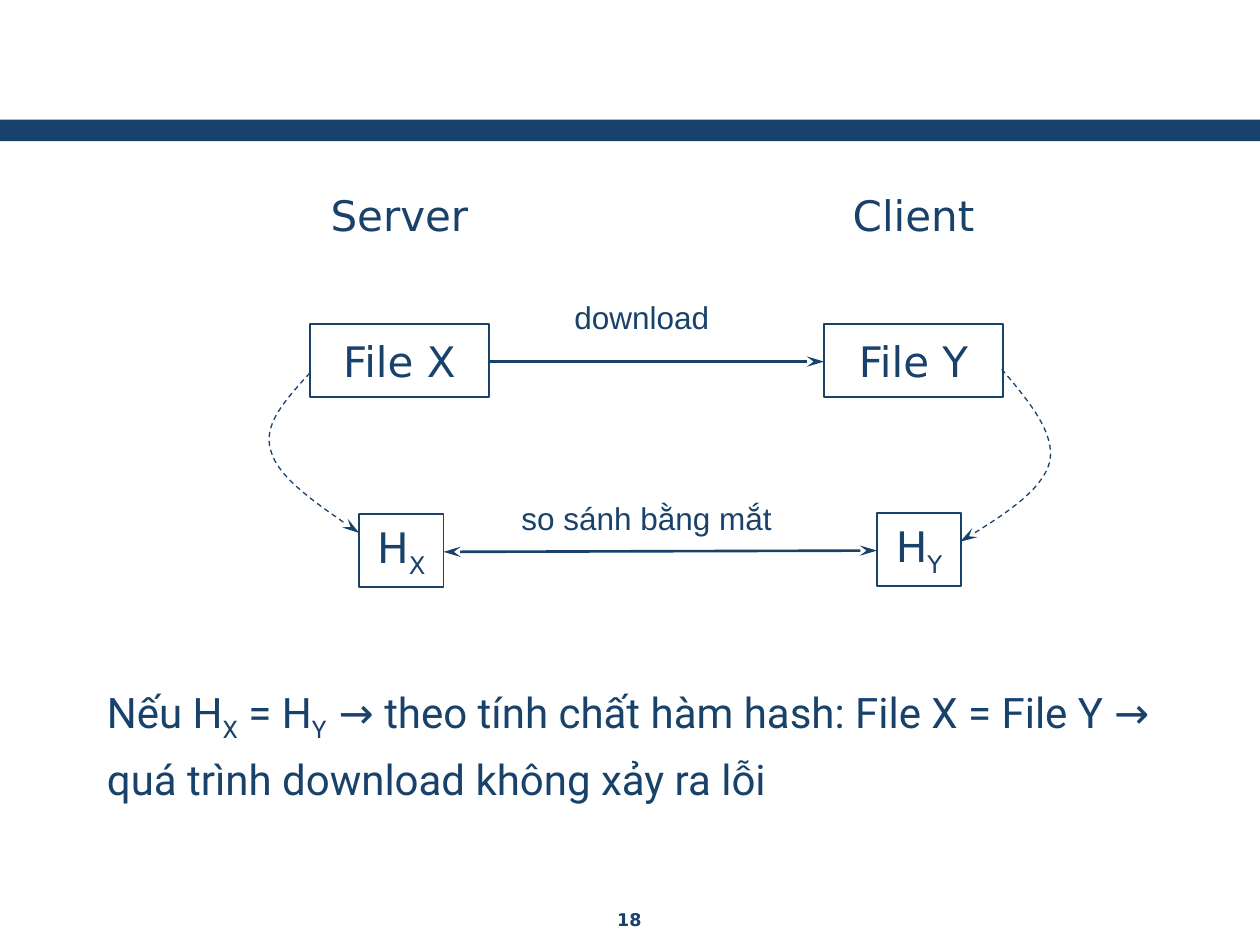
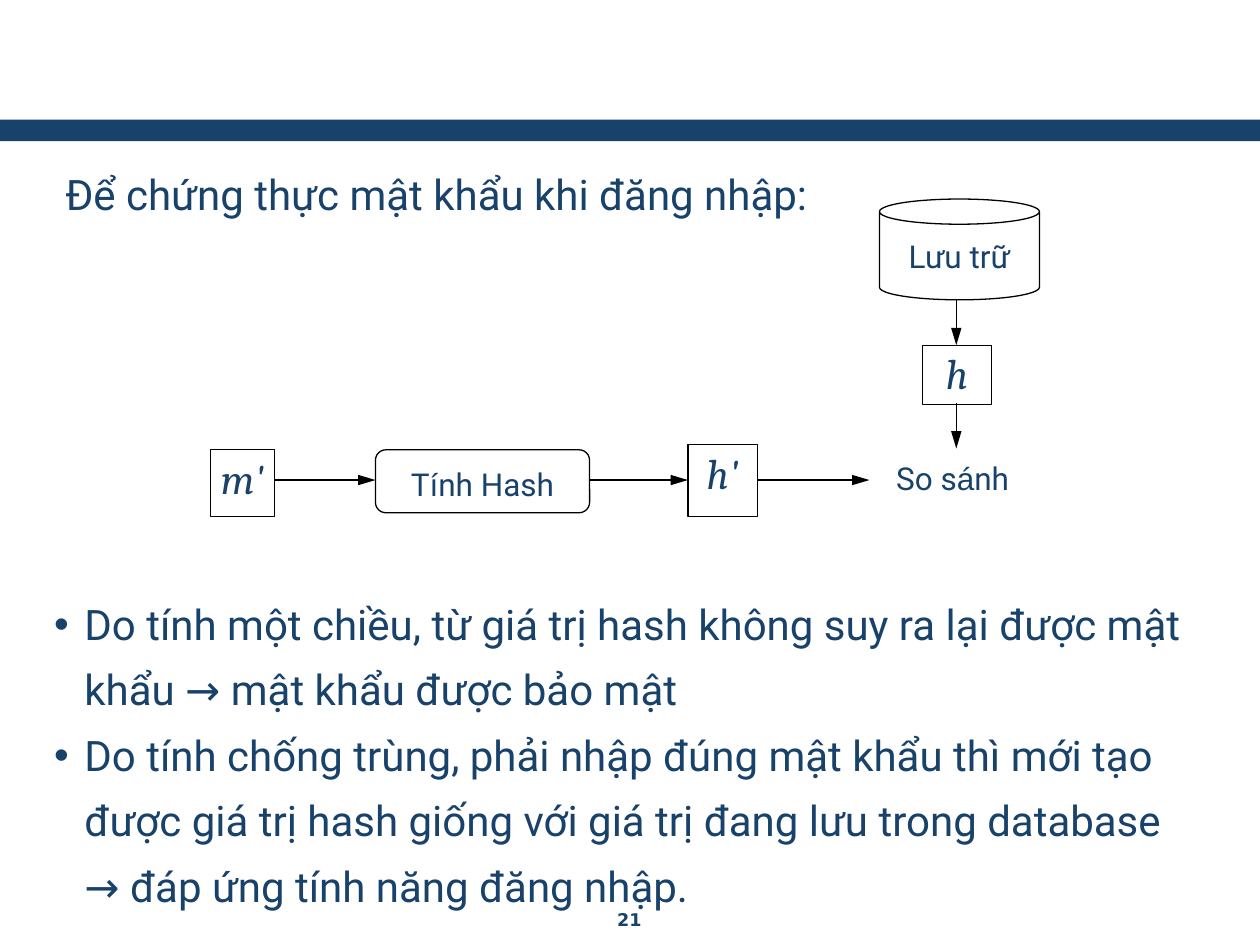
from dataclasses import dataclass
from typing import NamedTuple, Optional

import pptx
import pptx.util
from pptx.dml.color import RGBColor
from pptx.enum.dml import MSO_LINE
from pptx.enum.shapes import MSO_CONNECTOR, MSO_SHAPE
from pptx.enum.text import MSO_ANCHOR, MSO_AUTO_SIZE, PP_ALIGN
from pptx.oxml.ns import qn
from pptx.util import Inches
import lxml.etree

COLORS = {"navy": "19426B", "white": "FFFFFF", "black": "000000"}
NORMAL_INSETS = (0.1, 0.05, 0.1, 0.05)
TIGHT_INSETS = (0.02, 0.02, 0.02, 0.02)
LOWERED_INSETS = (0.02, 0.1, 0.02, 0.02)
CURVE_STEPS = 16


class Piece(NamedTuple):
    text: str
    font: Optional[str] = None
    subscript: bool = False


@dataclass
class TextStyle:
    font: str
    size: float
    bold: bool = False
    italic: bool = False
    align: Optional[PP_ALIGN] = PP_ALIGN.CENTER
    anchor: MSO_ANCHOR = MSO_ANCHOR.MIDDLE
    line_spacing: float = 1.0
    insets: tuple = NORMAL_INSETS


@dataclass
class Box:
    at: tuple
    pieces: list
    style: TextStyle
    preset: Optional[MSO_SHAPE] = MSO_SHAPE.RECTANGLE  # None means a text box
    fill: Optional[str] = None
    line: Optional[str] = None
    line_width: float = 0.75
    adjustment: Optional[float] = None


class Arrow(NamedTuple):
    start: tuple
    end: tuple
    color: str
    width: float
    kind: str
    both_ends: bool = False


class Curve(NamedTuple):
    """Cubic segments: a start point, then three points for each segment."""
    points: list


TOP = MSO_ANCHOR.TOP
PAGE_NUMBER = TextStyle("DejaVu Sans", 10, bold=True)
NODE = TextStyle("DejaVu Sans", 24)
ARROW_LABEL = TextStyle("Arial", 18, align=PP_ALIGN.LEFT, anchor=TOP)
CONCLUSION = TextStyle("Roboto", 24, align=PP_ALIGN.LEFT, line_spacing=1.2)
BODY = TextStyle("Roboto", 24, align=PP_ALIGN.LEFT, anchor=TOP, line_spacing=1.3)
SYMBOL = TextStyle("Cambria", 24, italic=True, anchor=TOP, insets=TIGHT_INSETS)
STEP = TextStyle("Roboto", 18, anchor=TOP, insets=LOWERED_INSETS)
RESULT = TextStyle("Roboto", 18, anchor=TOP, insets=TIGHT_INSETS)


def rgb(name: str) -> RGBColor:
    return RGBColor.from_string(COLORS[name])


def set_attributes(target, values: dict) -> None:
    for name, value in values.items():
        setattr(target, name, value)


# Text
def format_frame(frame, style: TextStyle) -> None:
    left, top, right, bottom = (Inches(inset) for inset in style.insets)
    set_attributes(frame, {
        "word_wrap": True, "auto_size": MSO_AUTO_SIZE.NONE,
        "vertical_anchor": style.anchor, "margin_left": left,
        "margin_top": top, "margin_right": right, "margin_bottom": bottom,
    })


def write_paragraph(paragraph, pieces: list, style: TextStyle) -> None:
    set_attributes(paragraph, {
        "alignment": style.align, "line_spacing": style.line_spacing,
        "space_before": pptx.util.Pt(0), "space_after": pptx.util.Pt(0),
    })
    for piece in pieces:
        run = paragraph.add_run()
        run.text = piece.text
        set_attributes(run.font, {
            "name": piece.font or style.font, "size": pptx.util.Pt(style.size),
            "bold": style.bold, "italic": style.italic,
        })
        run.font.color.rgb = rgb("navy")
        if piece.subscript:
            run._r.get_or_add_rPr().set("baseline", "-25000")


def add_bullet(paragraph, indent: float) -> None:
    properties = paragraph._p.get_or_add_pPr()
    properties.set("marL", str(Inches(indent)))
    properties.set("indent", str(-Inches(indent)))
    bullet = lxml.etree.SubElement(properties, qn("a:buChar"))
    bullet.set("char", "•")


# Shapes and lines
def draw_box(slide, box: Box):
    place = [Inches(length) for length in box.at]
    if box.preset is None:
        shape = slide.shapes.add_textbox(*place)
    else:
        shape = slide.shapes.add_shape(box.preset, *place)
        shape.shadow.inherit = False
        if box.adjustment is not None:
            shape.adjustments[0] = box.adjustment
        if box.fill:
            shape.fill.solid()
            shape.fill.fore_color.rgb = rgb(box.fill)
        else:
            shape.fill.background()
        if box.line:
            shape.line.color.rgb = rgb(box.line)
            shape.line.width = pptx.util.Pt(box.line_width)
        else:
            shape.line.fill.background()
    format_frame(shape.text_frame, box.style)
    write_paragraph(shape.text_frame.paragraphs[0], box.pieces, box.style)
    return shape


def add_arrowheads(line, kind: str, both_ends: bool = False) -> None:
    for tag in ("a:headEnd", "a:tailEnd") if both_ends else ("a:tailEnd",):
        arrowhead = lxml.etree.SubElement(line._get_or_add_ln(), qn(tag))
        for name, value in {"type": kind, "w": "med", "len": "lg"}.items():
            arrowhead.set(name, value)


def draw_arrow(slide, arrow: Arrow) -> None:
    ends = [Inches(length) for length in (*arrow.start, *arrow.end)]
    connector = slide.shapes.add_connector(MSO_CONNECTOR.STRAIGHT, *ends)
    connector.line.color.rgb = rgb(arrow.color)
    connector.line.width = pptx.util.Pt(arrow.width)
    add_arrowheads(connector.line, arrow.kind, arrow.both_ends)
    lxml.etree.SubElement(connector._element.spPr, qn("a:effectLst"))


def curve_point(corners: list, t: float) -> tuple:
    weights = ((1 - t) ** 3, 3 * t * (1 - t) ** 2, 3 * t ** 2 * (1 - t), t ** 3)
    return tuple(
        Inches(sum(weight * corner[axis] for weight, corner in zip(weights, corners)))
        for axis in (0, 1)
    )


def draw_curve(slide, curve: Curve) -> None:
    start = [Inches(length) for length in curve.points[0]]
    builder = slide.shapes.build_freeform(*start)
    vertices = [
        curve_point(curve.points[first:first + 4], step / CURVE_STEPS)
        for first in range(0, len(curve.points) - 1, 3)
        for step in range(1, CURVE_STEPS + 1)
    ]
    builder.add_line_segments(vertices, close=False)
    shape = builder.convert_to_shape()
    shape.shadow.inherit = False
    shape.fill.background()
    shape.line.color.rgb = rgb("navy")
    shape.line.width = pptx.util.Pt(0.75)
    shape.line.dash_style = MSO_LINE.DASH
    add_arrowheads(shape.line, "stealth")


def draw_all(slide, boxes: list, arrows: list, curves: list) -> None:
    for draw, items in ((draw_box, boxes), (draw_arrow, arrows), (draw_curve, curves)):
        for item in items:
            draw(slide, item)


# Shared parts
def add_master_band(presentation, slide) -> None:
    band = draw_box(slide, Box((0, 0.95, 10, 0.17), [], NODE, fill="navy"))
    presentation.slide_master.shapes.element.append(band._element)


def add_page_number(slide, number: str) -> None:
    draw_box(slide, Box((3.83, 7.17, 2.33, 0.26), [Piece(number)], PAGE_NUMBER, None))


# Slide 1: comparing the hashes of a downloaded file
def build_download_slide(presentation) -> None:
    slide = presentation.slides.add_slide(presentation.slide_layouts[6])
    add_master_band(presentation, slide)
    add_page_number(slide, "18")
    boxes = []
    sides = (("Server", "X", 2.46, (2.85, 4.08)), ("Client", "Y", 6.54, (6.96, 4.07)))
    for host, letter, left, hash_corner in sides:
        boxes += [
            Box((left, 1.41, 1.42, 0.58), [Piece(host)], NODE, fill="white"),
            Box((left, 2.57, 1.42, 0.58), [Piece(f"File {letter}")], NODE,
                fill="white", line="navy", line_width=1),
            Box((*hash_corner, 0.67, 0.58), [Piece("H"), Piece(letter, subscript=True)],
                NODE, fill="white", line="navy", line_width=1),
        ]
    conclusion = [
        Piece("Nếu H"), Piece("X", subscript=True),
        Piece(" = H"), Piece("Y  ", subscript=True),
        Piece("→ theo tính chất hàm hash: File X = File Y → "
              "quá trình download không xảy ra lỗi"),
    ]
    boxes += [
        Box((4.46, 2.32, 1.57, 0.4), [Piece("download")], ARROW_LABEL, None),
        Box((4.04, 3.91, 2.42, 0.4), [Piece("so sánh bằng mắt")], ARROW_LABEL, None),
        Box((0.75, 5.33, 8.58, 1.08), conclusion, CONCLUSION, fill="white"),
    ]
    arrows = [
        Arrow((3.88, 2.87), (6.54, 2.87), "navy", 1.5, "stealth"),
        Arrow((3.52, 4.38), (6.96, 4.37), "navy", 1.5, "stealth", both_ends=True),
    ]
    curves = [
        Curve([(2.46, 2.96), (2.27, 3.17), (2.08, 3.37), (2.15, 3.58),
               (2.21, 3.8), (2.53, 4.01), (2.85, 4.23)]),
        Curve([(7.95, 2.93), (8.17, 3.19), (8.38, 3.44), (8.33, 3.67),
               (8.27, 3.9), (7.95, 4.1), (7.62, 4.3)]),
    ]
    draw_all(slide, boxes, arrows, curves)


# Slide 2: checking a password at login
def build_login_slide(presentation) -> None:
    slide = presentation.slides.add_slide(presentation.slide_layouts[1])
    title = slide.shapes.title.element
    title.getparent().remove(title)
    add_page_number(slide, "21")
    boxes = [
        Box((0.42, 1.17, 9.17, 0.67), [Piece("Để chứng thực mật khẩu khi đăng nhập:")],
            BODY, None),
        Box((6.87, 3.62, 1.38, 0.48),
            [Piece("So s"), Piece("á", "Arial"), Piece("nh")], RESULT, None),
        Box((2.98, 3.57, 1.7, 0.5),
            [Piece("T"), Piece("í", "Arial"), Piece("nh Hash")], STEP,
            MSO_SHAPE.ROUNDED_RECTANGLE, line="black", adjustment=0.167),
        Box((6.98, 1.58, 1.27, 0.8), [Piece("Lưu trữ")], STEP,
            MSO_SHAPE.CAN, line="black", adjustment=0.25),
    ]
    symbols = (
        ("m'", (1.67, 3.57, 0.51, 0.53)),
        ("h'", (5.46, 3.53, 0.55, 0.57)),
        ("h", (7.32, 2.74, 0.55, 0.47)),
    )
    boxes += [Box(at, [Piece(text)], SYMBOL, line="black") for text, at in symbols]
    flow_y, storage_x = 3.81, 7.59
    ends = [((start, flow_y), (end, flow_y))
            for start, end in ((2.18, 2.98), (4.68, 5.46), (6.01, 6.9))]
    ends += [((storage_x, start), (storage_x, end))
             for start, end in ((2.38, 2.74), (3.2, 3.56))]
    arrows = [Arrow(start, end, "black", 0.75, "triangle") for start, end in ends]
    draw_all(slide, boxes, arrows, [])

    body = slide.placeholders[1]
    set_attributes(body, {"left": Inches(0.33), "top": Inches(4.58),
                          "width": Inches(9.17), "height": Inches(2.58)})
    format_frame(body.text_frame, BODY)
    reasons = (
        "Do tính một chiều, từ giá trị hash không suy ra lại được mật khẩu "
        "→ mật khẩu được bảo mật",
        "Do tính chống trùng, phải nhập đúng mật khẩu thì mới tạo được giá trị hash "
        "giống với giá trị đang lưu trong database → đáp ứng tính năng đăng nhập.",
    )
    for index, reason in enumerate(reasons):
        frame = body.text_frame
        paragraph = frame.add_paragraph() if index else frame.paragraphs[0]
        add_bullet(paragraph, 0.24)
        write_paragraph(paragraph, [Piece(reason)], BODY)


def main() -> None:
    presentation = pptx.Presentation()
    presentation.slide_width = Inches(10)
    presentation.slide_height = Inches(7.5)
    build_download_slide(presentation)
    build_login_slide(presentation)
    presentation.save("out.pptx")


if __name__ == "__main__":
    main()
